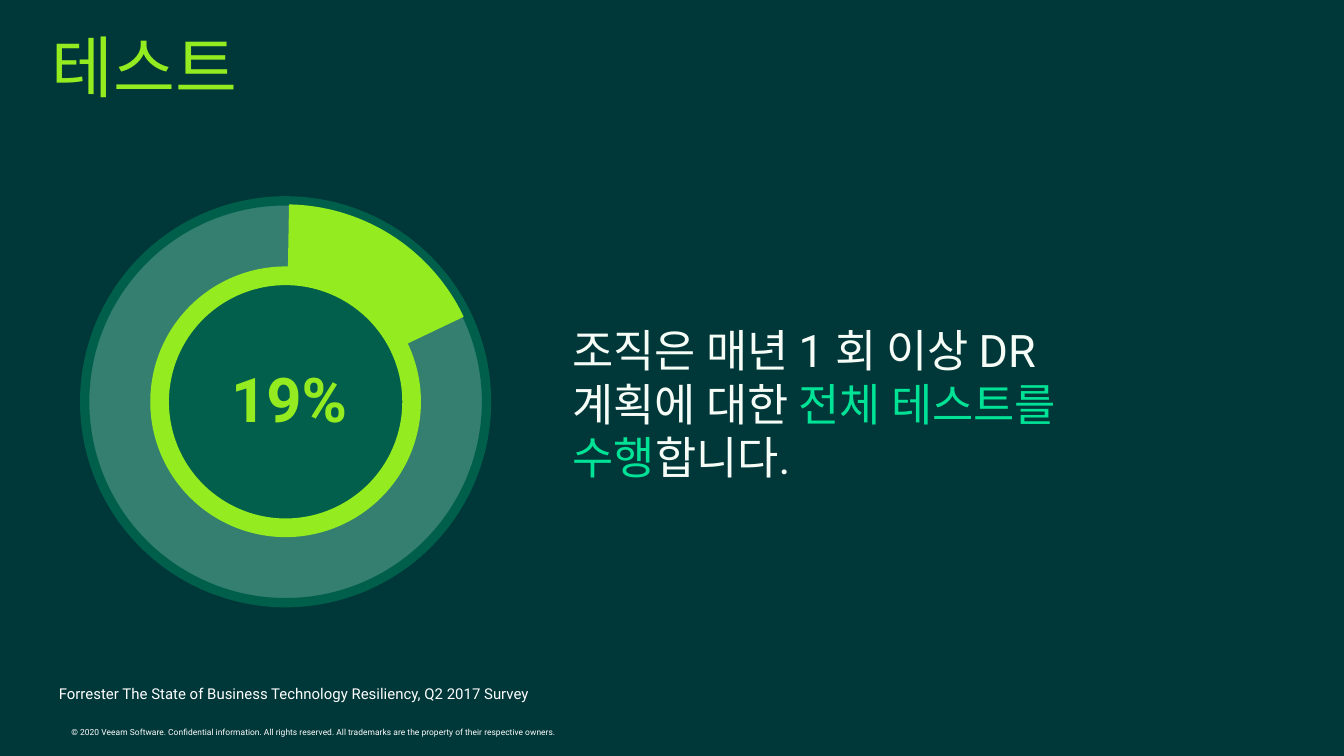
from dataclasses import dataclass
from typing import NamedTuple

from pptx import Presentation
from pptx.dml.color import RGBColor
from pptx.enum.shapes import MSO_SHAPE
from pptx.enum.text import MSO_ANCHOR, MSO_AUTO_SIZE, PP_ALIGN
from pptx.shapes.autoshape import Shape
from pptx.slide import Slide
from pptx.text.text import TextFrame
from pptx.util import Emu, Pt

ELLIPSE, PIE = MSO_SHAPE.OVAL, MSO_SHAPE.PIE
TOP, MIDDLE = MSO_ANCHOR.TOP, MSO_ANCHOR.MIDDLE
LEFT, CENTER = PP_ALIGN.LEFT, PP_ALIGN.CENTER
FIT_SHAPE = MSO_AUTO_SIZE.SHAPE_TO_FIT_TEXT

EMU_PER_PX = 9525
SLIDE_WIDTH, SLIDE_HEIGHT = 960, 540
GAUGE_CENTER = (204, 287)
PIE_UNITS_PER_DEGREE = 0.6


@dataclass(frozen=True)
class Theme:
    font: str = "Roboto"
    background: str = "003738"
    accent: str = "93EB20"
    highlight: str = "00E296"
    ring: str = "347F6F"
    core: str = "015F4B"
    ring_edge: str = "005F4B"
    body: str = "F6FCF6"
    white: str = "FFFFFF"
    title_size: float = 36
    value_size: float = 33
    body_size: float = 24
    source_size: float = 8
    copyright_size: float = 4.5


class Span(NamedTuple):
    text: str
    color: str
    size: float
    bold: bool = False


class Insets(NamedTuple):
    left: int = 10
    top: int = 5
    right: int = 10
    bottom: int = 5


@dataclass(frozen=True)
class Label:
    left: int
    top: int
    width: int
    height: int
    spans: tuple[Span, ...]
    anchor: MSO_ANCHOR = TOP
    insets: Insets = Insets()
    fits: bool = True


@dataclass(frozen=True)
class Disc:
    diameter: int
    fill: str
    edge: str | None = None
    edge_width: int = 0
    sector: tuple[float, float] | None = None


THEME = Theme()

RING = Disc(287, THEME.ring, THEME.ring_edge, 5)
SHARE = Disc(282, THEME.accent, sector=(271, 334.5))
CORE = Disc(180, THEME.core, THEME.accent, 10)
VALUE = Span("19%", THEME.accent, THEME.value_size, True)

LABELS = (
    Label(41, 516, 480, 17, (
        Span("© 2020 Veeam Software. Confidential information. All rights reserved. "
             "All trademarks are the property of their respective owners.",
             THEME.white, THEME.copyright_size),
    )),
    Label(399, 225, 370, 126, (
        Span("조직은 매년 1 회 이상 DR 계획에 대한 ", THEME.body, THEME.body_size),
        Span("전체 테스트를 수행", THEME.highlight, THEME.body_size),
        Span("합니다.", THEME.body, THEME.body_size),
    ), MIDDLE),
    Label(37, 18, 878, 59, (
        Span("테스트", THEME.accent, THEME.title_size),
    ), insets=Insets(0, 0, 0, 0), fits=False),
    Label(32, 484, 383, 23, (
        Span("Forrester The State of Business Technology Resiliency, Q2 2017 Survey",
             THEME.white, THEME.source_size),
    ), MIDDLE),
)


def px(length: float) -> Emu:
    return Emu(round(length * EMU_PER_PX))


def rgb(color: str) -> RGBColor:
    return RGBColor.from_string(color)


def write(frame: TextFrame, spans: tuple[Span, ...], anchor: MSO_ANCHOR,
          insets: Insets, align: PP_ALIGN = LEFT) -> None:
    frame.word_wrap = True
    frame.vertical_anchor = anchor
    frame.margin_left, frame.margin_top = px(insets.left), px(insets.top)
    frame.margin_right, frame.margin_bottom = px(insets.right), px(insets.bottom)
    paragraph = frame.paragraphs[0]
    paragraph.alignment = align
    for span in spans:
        run = paragraph.add_run()
        run.text = span.text
        run.font.name = THEME.font
        run.font.size = Pt(span.size)
        run.font.bold = span.bold
        run.font.color.rgb = rgb(span.color)


def draw_label(slide: Slide, label: Label) -> None:
    box = slide.shapes.add_textbox(
        px(label.left), px(label.top), px(label.width), px(label.height))
    write(box.text_frame, label.spans, label.anchor, label.insets)
    if label.fits:
        box.text_frame.auto_size = FIT_SHAPE


def draw_disc(slide: Slide, disc: Disc) -> Shape:
    left, top = (px(middle - disc.diameter / 2) for middle in GAUGE_CENTER)
    circle = slide.shapes.add_shape(
        PIE if disc.sector else ELLIPSE, left, top, px(disc.diameter), px(disc.diameter))
    circle.shadow.inherit = False
    circle.fill.solid()
    circle.fill.fore_color.rgb = rgb(disc.fill)
    if disc.edge:
        circle.line.color.rgb = rgb(disc.edge)
        circle.line.width = Pt(disc.edge_width)
    else:
        circle.line.fill.background()
    if disc.sector:
        for index, degrees in enumerate(disc.sector):
            circle.adjustments[index] = degrees * PIE_UNITS_PER_DEGREE
    return circle


def main() -> None:
    deck = Presentation()
    deck.slide_width, deck.slide_height = px(SLIDE_WIDTH), px(SLIDE_HEIGHT)
    slide = deck.slides.add_slide(deck.slide_layouts[6])
    slide.background.fill.solid()
    slide.background.fill.fore_color.rgb = rgb(THEME.background)

    draw_disc(slide, RING)
    draw_disc(slide, SHARE)
    core = draw_disc(slide, CORE)
    write(core.text_frame, (VALUE,), MIDDLE, Insets(10, 5, 5, 10), CENTER)
    for label in LABELS:
        draw_label(slide, label)

    deck.save("out.pptx")


if __name__ == "__main__":
    main()
